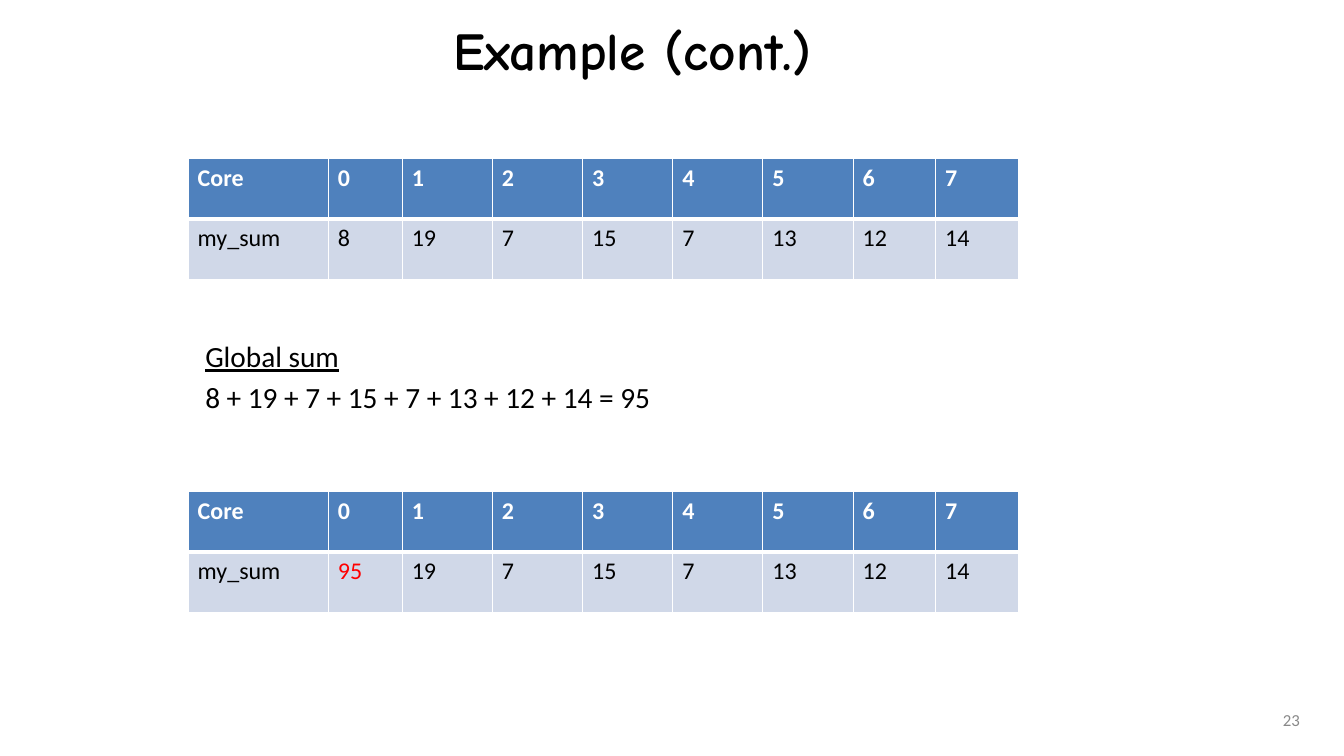
import pptx
import pptx.dml.color
import pptx.enum.text
import pptx.oxml
import pptx.oxml.ns
import pptx.util

Pt = pptx.util.Pt
RGB = pptx.dml.color.RGBColor.from_string
PP = pptx.enum.text.PP_ALIGN
ANCHOR = pptx.enum.text.MSO_ANCHOR
AUTO = pptx.enum.text.MSO_AUTO_SIZE

THEME = {
    "header": "4F81BD", "body": "D0D8E8", "border": "FFFFFF",
    "title": dict(name="Comic Neue", size=Pt(40), bold=True, color="000000"),
    "number": dict(name="Calibri", size=Pt(12.6), color="898989"),
    "text": dict(name="Calibri", size=Pt(22), color="000000"),
    "head_cell": dict(name="Calibri", size=Pt(18), bold=True, color="FFFFFF"),
    "body_cell": dict(name="Calibri", size=Pt(18), bold=False, color="000000"),
    "changed": dict(name="Calibri", size=Pt(18), bold=False, color="FF0000"),
}

prs = pptx.Presentation()
prs.slide_width = pptx.util.Inches(14)
prs.slide_height = pptx.util.Inches(7.88)
COL, ROW = prs.slide_width / 100, prs.slide_height / 12.5  # layout grid


def box(left, top, width, height):
    """Turn grid columns and rows into lengths."""
    return [round(v) for v in (left * COL, top * ROW, width * COL, height * ROW)]


def add_run(p, text, style, **extra):
    r = p.add_run()
    r.text = text
    for key, value in {**style, **extra}.items():
        if key == "color":
            r.font.color.rgb = RGB(value)
        else:
            setattr(r.font, key, value)


s = prs.slides.add_slide(prs.slide_layouts[5])

# Title and slide number
title = s.shapes.title
title.left, title.top, title.width, title.height = box(5, 0.13, 84.07, 1.38)
number = s.shapes.add_textbox(*box(74.21, 11.57, 23.36, 0.67))
for sp, text, style, align in ((title, "Example (cont.)", "title", PP.CENTER),
                               (number, "23", "number", PP.RIGHT)):
    tf = sp.text_frame
    frame = dict(word_wrap=True, auto_size=AUTO.NONE, vertical_anchor=ANCHOR.MIDDLE,
                 margin_left=Pt(8.64), margin_right=Pt(8.64),
                 margin_top=Pt(4.32), margin_bottom=Pt(4.32))
    for key, value in frame.items():
        setattr(tf, key, value)
    p = tf.paragraphs[0]
    p.alignment = align
    add_run(p, text, THEME[style])

# Partial sums before and after core 0 collects the total
sums = [8, 19, 7, 15, 7, 13, 12, 14]
total = sum(sums)
widths = [10.43, 5.5] + [6.71] * 5 + [6.14] * 2
for top, values in ((2.62, sums), (8.13, [total] + sums[1:])):
    rows = [["Core", *range(len(sums))], ["my_sum", *values]]
    table = s.shapes.add_table(2, len(widths), *box(14, top, sum(widths), 2)).table
    table.horz_banding = False
    for column, width in zip(table.columns, widths):
        column.width = round(width * COL)
    for i, row in enumerate(rows):
        for j, value in enumerate(row):
            cell = table.cell(i, j)
            # The rule between header and body is the heavy one
            edges = dict(L=1, R=1, T=3 if i else 1, B=1 if i else 3)
            for side, points in edges.items():
                cell._tc.get_or_add_tcPr().append(pptx.oxml.parse_xml(
                    f'<a:ln{side} {pptx.oxml.ns.nsdecls("a")} w="{Pt(points)}"><a:solidFill>'
                    f'<a:srgbClr val="{THEME["border"]}"/></a:solidFill></a:ln{side}>'))
            cell.fill.solid()
            cell.fill.fore_color.rgb = RGB(THEME["body" if i else "header"])
            style = "body_cell" if i else "head_cell"
            if i and value == total:
                style = "changed"
            add_run(cell.text_frame.paragraphs[0], str(value), THEME[style])

# Global sum
tf = s.shapes.add_textbox(*box(14.57, 5.52, 62.36, 1.44)).text_frame
tf.word_wrap = True
tf.auto_size = AUTO.SHAPE_TO_FIT_TEXT
add_run(tf.paragraphs[0], "Global sum", THEME["text"], underline=True)
p = tf.add_paragraph()
p.space_before = Pt(4.4)
add_run(p, f"{' + '.join(map(str, sums))} = {total}", THEME["text"])

prs.save("out.pptx")
